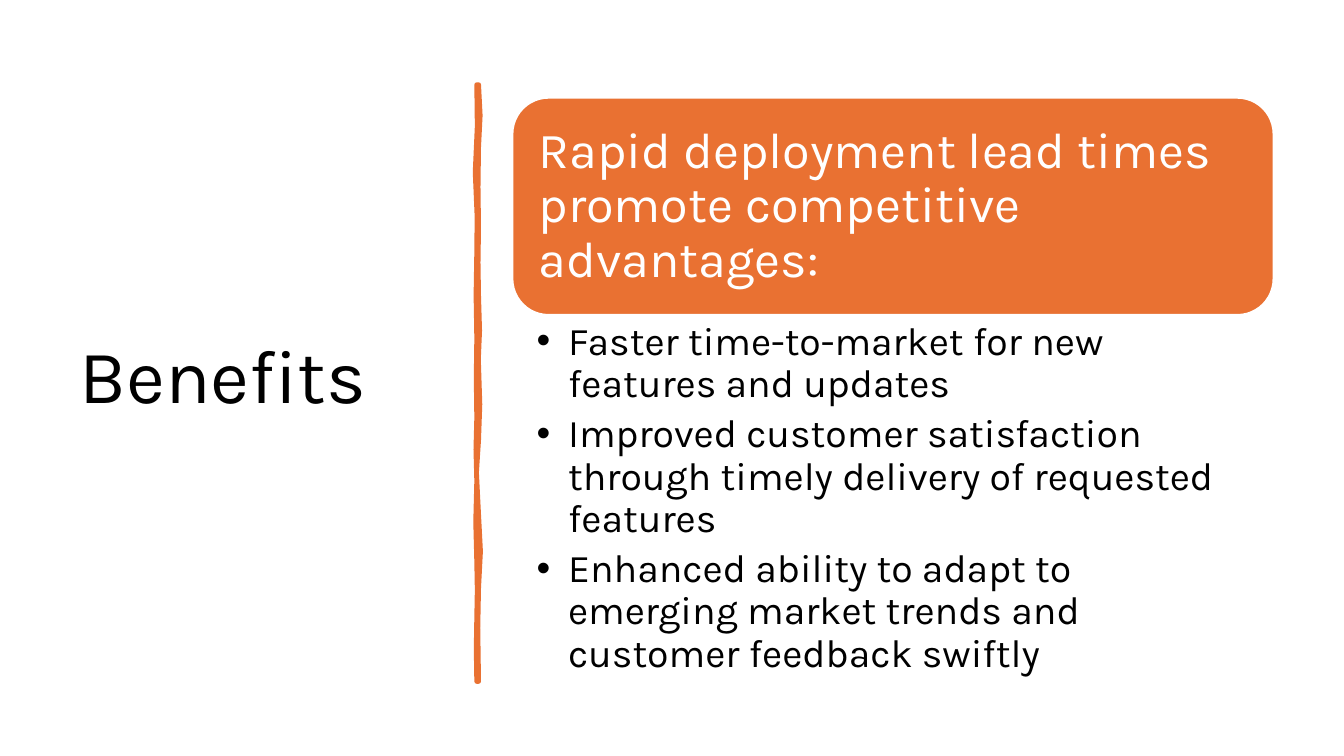
from pptx import Presentation
from pptx.dml.color import RGBColor
from pptx.enum.shapes import MSO_SHAPE
from pptx.enum.text import MSO_ANCHOR as Anchor, MSO_AUTO_SIZE as AutoSize, PP_ALIGN as Align
from pptx.util import Pt

PX = 9525  # EMU in one px, 96 px to the inch
ORANGE = RGBColor(0xE9, 0x71, 0x32)
WHITE = RGBColor(0xFF, 0xFF, 0xFF)
BLACK = RGBColor(0x00, 0x00, 0x00)

BENEFITS = [
    "Faster time-to-market for new features and updates",
    "Improved customer satisfaction through timely delivery of requested features",
    "Enhanced ability to adapt to emerging market trends and customer feedback swiftly",
]
# Hand-drawn divider, edge points in tenths of a px
RIGHT_EDGE = [
    (4560, 806), (4575, 1100), (4560, 1400), (4555, 1780), (4560, 2170), (4555, 2500),
    (4560, 2820), (4570, 3150), (4558, 3420), (4572, 3850), (4560, 4190), (4540, 4500),
    (4560, 4900), (4578, 5250), (4560, 5600), (4553, 5980), (4560, 6490),
]
LEFT_EDGE = [
    (4540, 6490), (4535, 6180), (4540, 5880), (4545, 5620), (4540, 5350), (4530, 4970),
    (4540, 4580), (4532, 4280), (4540, 3980), (4535, 3600), (4540, 3220), (4533, 2810),
    (4540, 2400), (4543, 2060), (4525, 1640), (4545, 1200), (4540, 806),
]


def place(shape, left, top, width, height):
    shape.left, shape.top = left * PX, top * PX
    shape.width, shape.height = width * PX, height * PX


def write(frame, lines, size, color, anchor):
    frame.word_wrap = True
    frame.auto_size = AutoSize.NONE
    frame.vertical_anchor = anchor
    frame.text = "\n".join(lines)
    for para in frame.paragraphs:
        para.alignment = Align.LEFT
        para.line_spacing = 0.9
        para.space_before = Pt(0)
        para.font.name = "Karla"
        para.font.size = Pt(size)
        para.font.color.rgb = color


deck = Presentation()
deck.slide_width, deck.slide_height = 1280 * PX, 720 * PX
page = deck.slides.add_slide(deck.slide_layouts[1])

# Title
title = page.shapes.title
place(title, 66, 67, 359, 587)
write(title.text_frame, ["Benefits"], 54, BLACK, Anchor.MIDDLE)

# Divider
builder = page.shapes.build_freeform(*RIGHT_EDGE[0], scale=PX / 10)
builder.add_line_segments(RIGHT_EDGE[1:] + LEFT_EDGE, close=True)
divider = builder.convert_to_shape()
divider.shadow.inherit = False
divider.fill.solid()
divider.fill.fore_color.rgb = ORANGE
divider.line.color.rgb = ORANGE
divider.line.width = Pt(3.25)

# Heading card
card = page.shapes.add_shape(MSO_SHAPE.ROUNDED_RECTANGLE, 488 * PX, 93 * PX, 725 * PX, 207 * PX)
card.shadow.inherit = False
card.fill.solid()
card.fill.fore_color.rgb = ORANGE
card.line.color.rgb = WHITE
card.line.width = Pt(1.5)
frame = card.text_frame
# The rounded corners already inset the text by 10 px
frame.margin_left = frame.margin_right = 15 * PX
frame.margin_top = frame.margin_bottom = 15 * PX
write(frame, ["Rapid deployment lead times promote competitive advantages:"], 36, WHITE, Anchor.MIDDLE)

# Benefit list
body = page.placeholders[1]
place(body, 488, 301, 725, 321)
frame = body.text_frame
frame.margin_left, frame.margin_right = 23 * PX, 27 * PX
frame.margin_top = frame.margin_bottom = 5 * PX
write(frame, BENEFITS, 28, BLACK, Anchor.TOP)
for para in frame.paragraphs:
    para.space_after = Pt(5.6)
    properties = para._p.get_or_add_pPr()
    properties.set("marL", str(30 * PX))
    properties.set("indent", str(-30 * PX))

deck.save("out.pptx")
